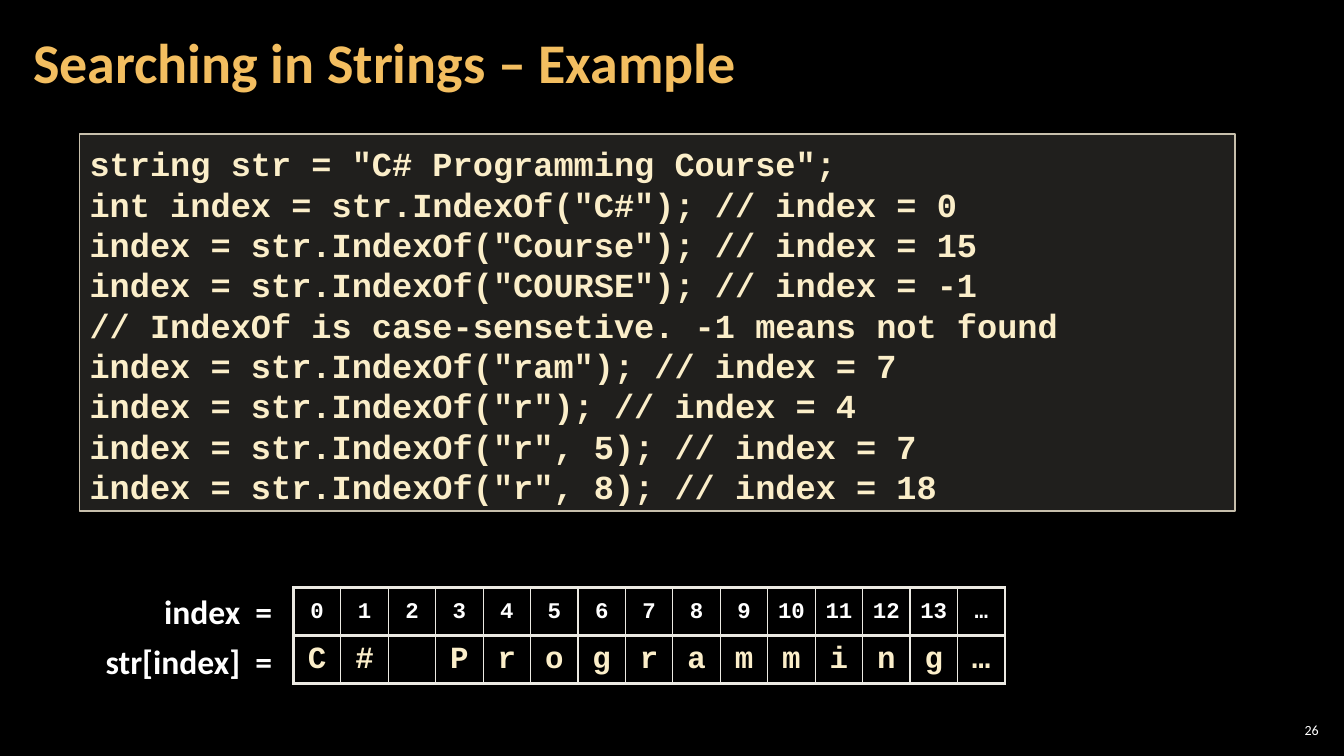
from lxml import etree
from pptx import Presentation
from pptx.dml.color import RGBColor
from pptx.enum.shapes import MSO_SHAPE
from pptx.enum.text import MSO_ANCHOR, MSO_AUTO_SIZE, PP_ALIGN
from pptx.oxml import parse_xml
from pptx.oxml.ns import nsdecls, qn
from pptx.util import Inches, Pt

RECTANGLE = MSO_SHAPE.RECTANGLE
TOP, MIDDLE, BOTTOM = MSO_ANCHOR.TOP, MSO_ANCHOR.MIDDLE, MSO_ANCHOR.BOTTOM
LEFT, CENTER, RIGHT = PP_ALIGN.LEFT, PP_ALIGN.CENTER, PP_ALIGN.RIGHT
NO_AUTOFIT = MSO_AUTO_SIZE.NONE

BLACK, WHITE, GOLD, CREAM = "000000", "FFFFFF", "F3BE60", "FBEEC9"
PANEL, PANEL_LINE, GRID_LINE = "D9D5C7", "C7BFAC", "ECEAE3"


def write(frame, text, size, color, font="Calibri", bold=True, align=LEFT, spacing=None):
    for number, line in enumerate(text.split("\n")):
        paragraph = frame.paragraphs[0] if number == 0 else frame.add_paragraph()
        paragraph.alignment = align
        paragraph.line_spacing = spacing
        run = paragraph.add_run()
        run.text = line
        run.font.name = font
        run.font.size = Pt(size)
        run.font.bold = bold
        run.font.color.rgb = RGBColor.from_string(color)


def fill_solid(fill, color, opacity):
    fill.solid()
    fill.fore_color.rgb = RGBColor.from_string(color)
    color_element = fill._xPr.find(qn("a:solidFill"))[0]
    etree.SubElement(color_element, qn("a:alpha"), val=str(opacity * 1000))


presentation = Presentation()
presentation.slide_width = Inches(13.33)
presentation.slide_height = Inches(7.5)
slide = presentation.slides.add_slide(presentation.slide_layouts[5])
slide.background.fill.solid()
slide.background.fill.fore_color.rgb = RGBColor.from_string(BLACK)

title = slide.shapes.title
title.left, title.top = Inches(0.21), Inches(0.04)
title.width, title.height = Inches(10.47), Inches(1.21)
title_frame = title.text_frame
title_frame.auto_size = NO_AUTOFIT
title_frame.vertical_anchor = MIDDLE
title_frame.margin_left = title_frame.margin_right = Inches(0.12)
title_frame.margin_top = title_frame.margin_bottom = Inches(0.04)
write(title_frame, "Searching in Strings – Example", 40, GOLD, spacing=0.9)

CODE = """string str = "C# Programming Course";
int index = str.IndexOf("C#"); // index = 0
index = str.IndexOf("Course"); // index = 15
index = str.IndexOf("COURSE"); // index = -1
// IndexOf is case-sensetive. -1 means not found
index = str.IndexOf("ram"); // index = 7
index = str.IndexOf("r"); // index = 4
index = str.IndexOf("r", 5); // index = 7
index = str.IndexOf("r", 8); // index = 18"""

code_panel = slide.shapes.add_shape(
    RECTANGLE, Inches(0.79), Inches(1.33), Inches(11.46), Inches(3.74))
code_panel.shadow.inherit = False
fill_solid(code_panel.fill, PANEL, 15)
code_panel.line.color.rgb = RGBColor.from_string(PANEL_LINE)
code_panel.line.width = Pt(1)
code_panel.text_frame.word_wrap = True
code_panel.text_frame.vertical_anchor = BOTTOM
write(code_panel.text_frame, CODE, 24, CREAM, font="Courier New", spacing=Pt(28.8))

indexes = [str(number) for number in range(14)] + ["…"]
letters = list("C# Programming…")
rows = [(indexes, 16, WHITE), (letters, 22, CREAM)]
last_column = len(indexes) - 1
table_frame = slide.shapes.add_table(
    len(rows), len(indexes), Inches(2.91), Inches(5.83), Inches(7.06), Inches(0.95))
table = table_frame.table
table.first_row = table.horz_banding = False
for column in table.columns:
    column.width = Inches(7.06 / len(indexes))

for row_index, (values, size, color) in enumerate(rows):
    for column_index, value in enumerate(values):
        cell = table.cell(row_index, column_index)
        cell.vertical_anchor = MIDDLE
        fill_solid(cell.fill, BLACK, 50)
        if value.strip():
            write(cell.text_frame, value, size, color, font="Courier New",
                  align=CENTER, spacing=0.95)
        borders = [
            ("lnL", 2.25 if column_index == 0 else 1),
            ("lnR", 2.25 if column_index == last_column else 1),
            ("lnT", 2.25),
            ("lnB", 2.25),
        ]
        properties = cell._tc.get_or_add_tcPr()
        for position, (side, width) in enumerate(borders):
            properties.insert(position, parse_xml(
                f'<a:{side} {nsdecls("a")} w="{Pt(width)}"><a:solidFill>'
                f'<a:srgbClr val="{GRID_LINE}"/></a:solidFill></a:{side}>'))

labels = [
    ("index  =", 1.53, 5.81, 1.36, 0.5, 24, True, LEFT, TOP),
    ("str[index]  =", 0.95, 6.31, 1.94, 0.5, 24, True, LEFT, TOP),
    ("26", 12.65, 7.14, 0.47, 0.21, 10, False, RIGHT, MIDDLE),
]
for text, left, top, width, height, size, bold, align, anchor in labels:
    label = slide.shapes.add_textbox(
        Inches(left), Inches(top), Inches(width), Inches(height))
    label_frame = label.text_frame
    label_frame.word_wrap = True
    label_frame.vertical_anchor = anchor
    if anchor == MIDDLE:
        label_frame.margin_left = label_frame.margin_right = Inches(0.04)
        label_frame.margin_top = label_frame.margin_bottom = Inches(0.04)
    write(label_frame, text, size, WHITE, bold=bold, align=align)

presentation.save("out.pptx")
